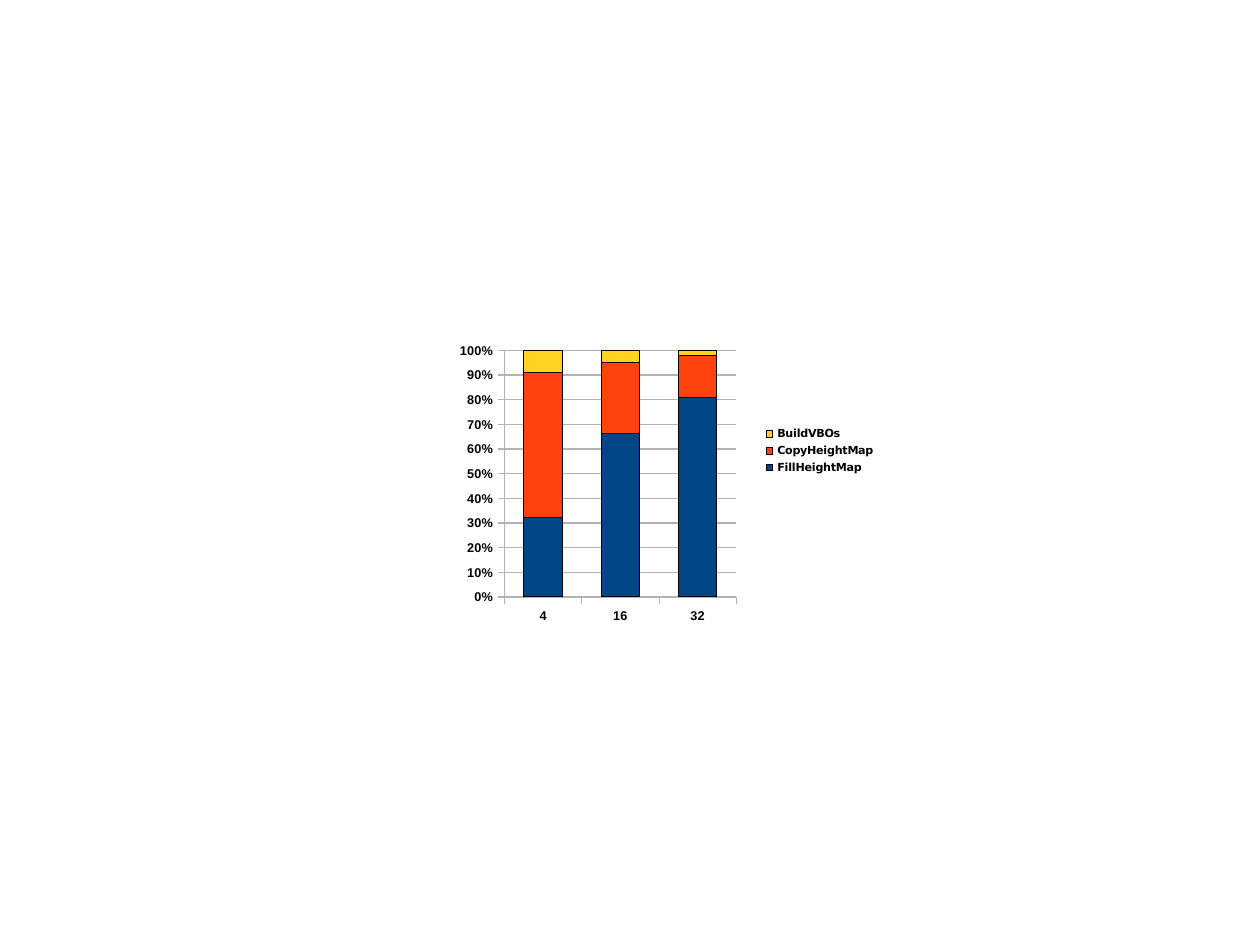
import pptx
import pptx.chart.data
import pptx.dml.color
import pptx.enum.chart
import pptx.oxml
import pptx.oxml.ns
import pptx.util

Inches, Pt = pptx.util.Inches, pptx.util.Pt
RGBColor = pptx.dml.color.RGBColor
enums = pptx.enum.chart

BLACK = RGBColor(0x00, 0x00, 0x00)
GRAY = RGBColor(0xB3, 0xB3, 0xB3)
BLUE = RGBColor(0x00, 0x45, 0x86)
ORANGE = RGBColor(0xFF, 0x42, 0x0E)
YELLOW = RGBColor(0xFF, 0xD3, 0x20)

SIZES = ["4", "16", "32"]
STEPS = [
    ("FillHeightMap", (32, 67, 80), BLUE),
    ("CopyHeightMap", (59, 29, 17), ORANGE),
    ("BuildVBOs", (9, 5, 2), YELLOW),
]
CM_PER_INCH = 2.54
SLIDE_CM = (28, 21)
CHART_BOX = (3.94, 2.75, 4.17, 2.81)
PLOT_LAYOUT = (0.02, 0.09, 0.58, 0.87)
LEGEND_LAYOUT = (0.63, 0.34, 0.29, 0.17)
CHART_FONT = {"name": "Arial", "size": Pt(10)}
AXIS_FONT = {"name": "Arial", "size": Pt(8), "bold": True}
LEGEND_FONT = {"name": "DejaVu Sans", "size": Pt(7), "bold": True}
AXIS = {
    "major_tick_mark": enums.XL_TICK_MARK.OUTSIDE,
    "minor_tick_mark": enums.XL_TICK_MARK.NONE,
}
VALUE_AXIS = {
    "minimum_scale": 0,
    "maximum_scale": 1,
    "major_unit": 0.1,
    "has_major_gridlines": True,
}


def set_all(obj, values):
    for name, value in values.items():
        setattr(obj, name, value)


def set_font(font, values):
    set_all(font, values)
    font.color.rgb = BLACK


def set_line(line, color):
    line.color.rgb = color
    line.width = Pt(0)


def place(parent, index, box):
    for old in parent.xpath("c:layout"):
        parent.remove(old)
    x, y, w, h = box
    parent.insert(index, pptx.oxml.parse_xml(
        f'<c:layout {pptx.oxml.ns.nsdecls("c")}><c:manualLayout>'
        '<c:xMode val="edge"/><c:yMode val="edge"/>'
        f'<c:x val="{x}"/><c:y val="{y}"/><c:w val="{w}"/><c:h val="{h}"/>'
        '</c:manualLayout></c:layout>'))


def main():
    prs = pptx.Presentation()
    prs.slide_width, prs.slide_height = (
        Inches(cm / CM_PER_INCH) for cm in SLIDE_CM)
    s = prs.slides.add_slide(prs.slide_layouts[6])

    data = pptx.chart.data.CategoryChartData(number_format="General")
    data.categories = SIZES
    for name, values, _ in STEPS:
        data.add_series(name, values)
    chart = s.shapes.add_chart(
        enums.XL_CHART_TYPE.COLUMN_STACKED_100,
        *map(Inches, CHART_BOX), data).chart
    chart.has_title = False
    set_font(chart.font, CHART_FONT)

    plot = chart.plots[0]
    set_all(plot, {"gap_width": 100, "overlap": 100, "vary_by_categories": False})
    for series, (_, _, color) in zip(plot.series, STEPS):
        series.format.fill.solid()
        series.format.fill.fore_color.rgb = color
        set_line(series.format.line, BLACK)

    for axis in (chart.category_axis, chart.value_axis):
        set_all(axis, AXIS)
        set_font(axis.tick_labels.font, AXIS_FONT)
        set_line(axis.format.line, GRAY)
    chart.category_axis.tick_label_position = enums.XL_TICK_LABEL_POSITION.LOW
    set_all(chart.value_axis, VALUE_AXIS)
    set_all(chart.value_axis.tick_labels,
            {"number_format": "[$-416]0%", "number_format_is_linked": False})
    set_line(chart.value_axis.major_gridlines.format.line, GRAY)

    chart.has_legend = True
    set_all(chart.legend, {"position": enums.XL_LEGEND_POSITION.RIGHT,
                           "include_in_layout": False})
    set_font(chart.legend.font, LEGEND_FONT)
    place(chart.element.xpath("c:chart/c:plotArea")[0], 0, PLOT_LAYOUT)
    place(chart.element.xpath("c:chart/c:legend")[0], 1, LEGEND_LAYOUT)

    prs.save("out.pptx")


if __name__ == "__main__":
    main()
